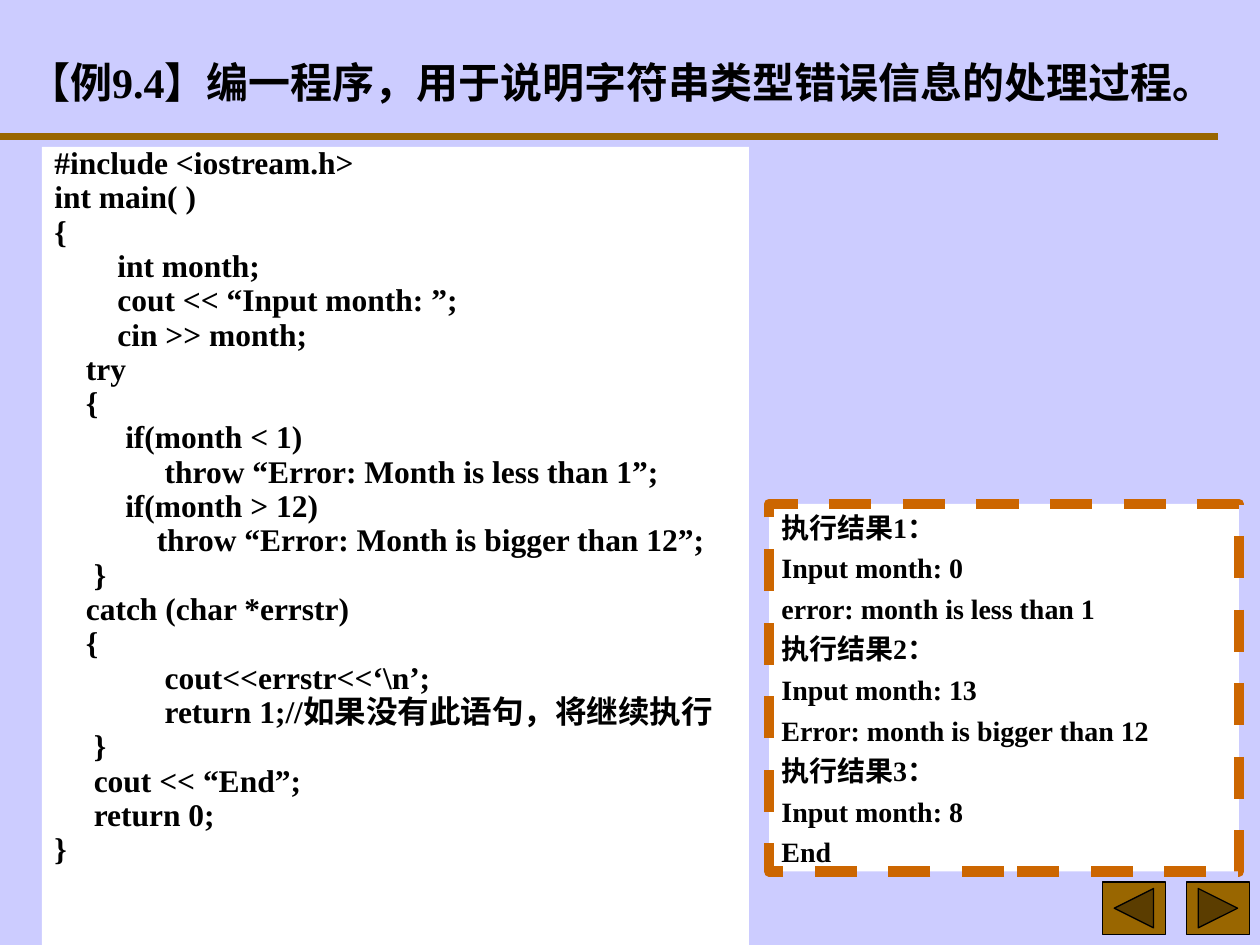
"""Build a slide on handling string errors in a C++ program."""
from itertools import groupby

from lxml import etree
from pptx import Presentation
from pptx.dml.color import RGBColor
from pptx.enum.dml import MSO_LINE
from pptx.enum.shapes import MSO_CONNECTOR, MSO_SHAPE
from pptx.enum.text import MSO_ANCHOR, PP_ALIGN
from pptx.oxml.ns import qn
from pptx.util import Pt

RECT = MSO_SHAPE.RECTANGLE
BACK = MSO_SHAPE.ACTION_BUTTON_BACK_OR_PREVIOUS
NEXT = MSO_SHAPE.ACTION_BUTTON_FORWARD_OR_NEXT
STRAIGHT = MSO_CONNECTOR.STRAIGHT
DASH = MSO_LINE.DASH
LEFT = PP_ALIGN.LEFT
TOP, MIDDLE = MSO_ANCHOR.TOP, MSO_ANCHOR.MIDDLE
BLACK = RGBColor(0, 0, 0)
WHITE = RGBColor(0xFF, 0xFF, 0xFF)
LILAC = RGBColor(0xCC, 0xCC, 0xFF)
BROWN = RGBColor(0x99, 0x66, 0x00)
ORANGE = RGBColor(0xCC, 0x66, 0x00)
LATIN, HAN = "Times New Roman", "Noto Sans CJK SC"
SPACE = 4.5

TITLE = "【例9.4】编一程序，用于说明字符串类型错误信息的处理过程。"
CODE = [
    (0, "#include <iostream.h>"),
    (0, "int main( )"),
    (0, "{"),
    (8, "int month;"),
    (8, "cout << “Input month: ”;"),
    (8, "cin >> month;"),
    (4, "try"),
    (4, "{"),
    (9, "if(month < 1)"),
    (14, "throw “Error: Month is less than 1”;"),
    (9, "if(month > 12)"),
    (13, "throw “Error: Month is bigger than 12”;"),
    (5, "}"),
    (4, "catch (char *errstr)"),
    (4, "{"),
    (14, "cout<<errstr<<‘\\n’;"),
    (14, "return 1;//如果没有此语句，将继续执行"),
    (5, "}"),
    (5, "cout << “End”;"),
    (5, "return 0;"),
    (0, "}"),
]
RUNS = [
    ("Input month: 0", "error: month is less than 1"),
    ("Input month: 13", "Error: month is bigger than 12"),
    ("Input month: 8", "End"),
]
BUTTONS = [(678, NEXT), (630, BACK)]


def is_han(char):
    return ord(char) > 0x2E7F


def write(shape, lines, size, before=0, ratio=1.0, anchor=TOP):
    frame = shape.text_frame
    frame.word_wrap = True
    frame.vertical_anchor = anchor
    for num, (depth, text) in enumerate(lines):
        para = frame.add_paragraph() if num else frame.paragraphs[0]
        para.alignment = LEFT
        para.space_before = Pt(before)
        para.line_spacing = ratio
        if depth:
            para._p.get_or_add_pPr().set("marL", str(Pt(depth * SPACE)))
        for han, chars in groupby(text, is_han):
            run = para.add_run()
            run.text = "".join(chars)
            font = run.font
            font.size, font.bold = Pt(size), True
            font.color.rgb = BLACK
            font.name = HAN if han else LATIN
            east = etree.SubElement(font._element, qn("a:ea"))
            east.set("typeface", font.name)


def draw(slide, kind, box, fill, edge=None, width=0.75, dash=None):
    shape = slide.shapes.add_shape(kind, *map(Pt, box))
    shape.shadow.inherit = False
    shape.fill.solid()
    shape.fill.fore_color.rgb = fill
    if edge is None:
        shape.line.fill.background()
    else:
        shape.line.color.rgb = edge
        shape.line.width = Pt(width)
        if dash:
            shape.line.dash_style = dash
    return shape


def main():
    deck = Presentation()
    deck.slide_width, deck.slide_height = Pt(720), Pt(540)
    slide = deck.slides.add_slide(deck.slide_layouts[6])
    slide.background.fill.solid()
    slide.background.fill.fore_color.rgb = LILAC

    title = slide.shapes.add_textbox(*map(Pt, (9, 25.5, 702, 42)))
    write(title, [(0, TITLE)], 24, anchor=MIDDLE)

    code = draw(slide, RECT, (24, 84, 404, 456), WHITE)
    write(code, CODE, 18, before=4.5, ratio=0.7)

    for left, kind in BUTTONS:
        draw(slide, kind, (left, 504, 36, 30), BROWN, BLACK)

    rule = slide.shapes.add_connector(STRAIGHT, *map(Pt, (0, 78, 696, 78)))
    rule.line.color.rgb = BROWN
    rule.line.width = Pt(4.5)
    etree.SubElement(rule._element.spPr, qn("a:effectLst"))

    result = draw(slide, RECT, (439.5, 288, 268.5, 210), WHITE, ORANGE, 6, DASH)
    lines = [
        (0, text)
        for num, pair in enumerate(RUNS, 1)
        for text in (f"执行结果{num}：", *pair)
    ]
    write(result, lines, 16, before=4)
    deck.save("out.pptx")


if __name__ == "__main__":
    main()
